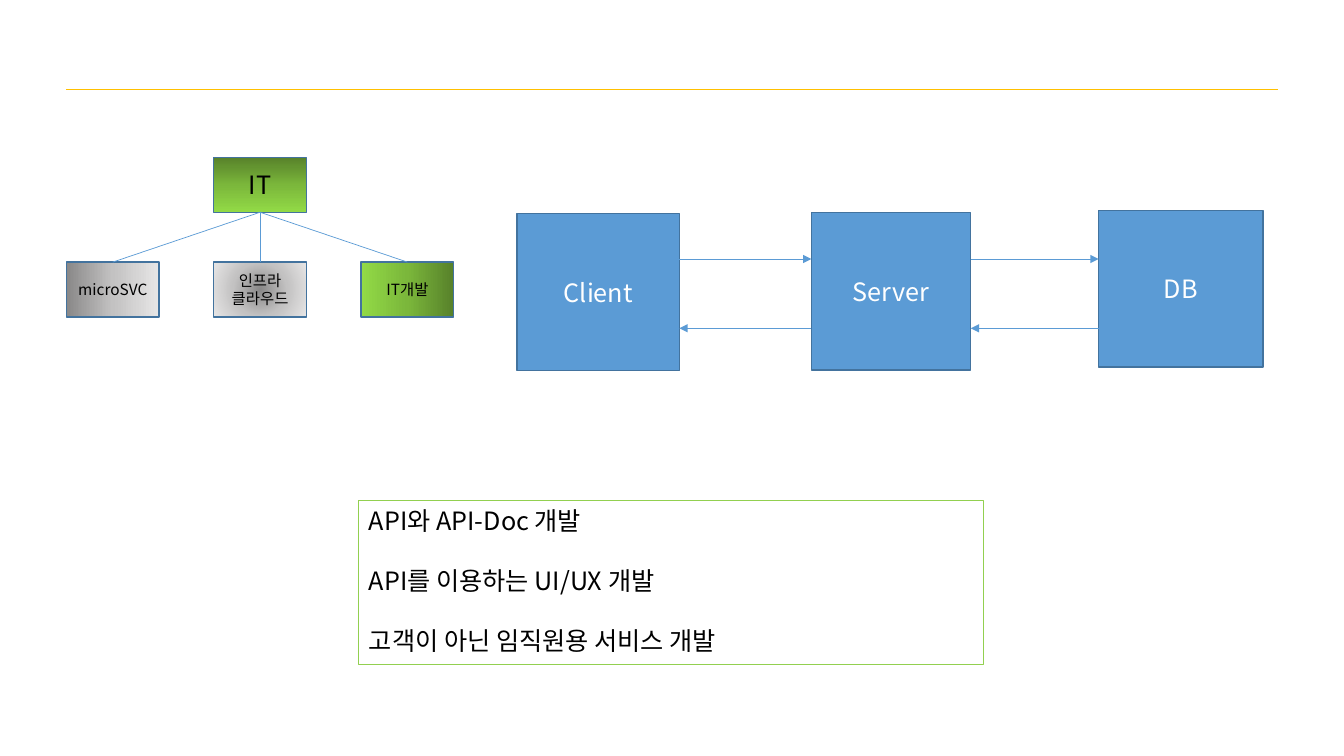
"""Build a slide with an IT organisation tree, a client-server-database flow and a task list."""
import dataclasses

import lxml.etree
import pptx
import pptx.dml.color
import pptx.enum.shapes
import pptx.enum.text
import pptx.oxml
import pptx.oxml.ns
import pptx.util

Pt = pptx.util.Pt
qn = pptx.oxml.ns.qn


@dataclasses.dataclass(frozen=True)
class Theme:
    font: str = "Noto Sans CJK KR"
    black: str = "000000"
    white: str = "FFFFFF"
    blue: str = "5B9BD5"
    outline: str = "43739E"
    rule: str = "FFC000"
    frame: str = "92D050"
    greens: tuple = ("57812A", "7BB73B", "92DA46")
    grays: tuple = ("898888", "C3C2C2", "E7E6E6")
    large: int = 18
    small: int = 11
    leading: float = 1.19


THEME = Theme()

ROOT = (["IT"], THEME.greens, 90)
TEAMS = [
    (["microSVC"], THEME.grays, 0),
    (["인프라", "클라우드"], THEME.grays, None),
    (["IT개발"], THEME.greens, 180),
]
TIERS = [
    ("Client", (369.4, 152.6, 115.9, 112.3)),
    ("Server", (579.6, 151.9, 113.8, 112.3)),
    ("DB", (784.8, 150.5, 117.4, 111.6)),
]
TASKS = ["API와 API-Doc 개발", "API를 이용하는 UI/UX 개발", "고객이 아닌 임직원용 서비스 개발"]

RULE = (47.5, 64.1, 913, 64.1)
TREE_LEFT, TREE_PITCH = 47.5, 105.2
ROOT_TOP, TEAM_TOP = 112.4, 187.2
NODE_WIDTH, NODE_HEIGHT = 66.2, 39.2
REQUEST_Y, RESPONSE_Y = 185, 234.5
TASK_BOX = (256.4, 357.8, 446.4, 116.6)

presentation = pptx.Presentation()
presentation.slide_width, presentation.slide_height = Pt(960), Pt(540)
slide = presentation.slides.add_slide(presentation.slide_layouts[6])


def rgb(color):
    return pptx.dml.color.RGBColor.from_string(color)


def add_line(start_x, start_y, end_x, end_y, color=THEME.blue, arrow=False):
    line = slide.shapes.add_connector(
        pptx.enum.shapes.MSO_CONNECTOR.STRAIGHT,
        Pt(start_x), Pt(start_y), Pt(end_x), Pt(end_y))
    line.line.color.rgb = rgb(color)
    line.line.width = Pt(0.5)
    properties = line._element.spPr
    if arrow:
        outline = properties.find(qn("a:ln"))
        lxml.etree.SubElement(outline, qn("a:tailEnd"), type="triangle")
    lxml.etree.SubElement(properties, qn("a:effectLst"))


def add_box(bounds, outline=THEME.outline, width=1):
    box = slide.shapes.add_shape(
        pptx.enum.shapes.MSO_SHAPE.RECTANGLE, *[Pt(value) for value in bounds])
    box.shadow.inherit = False
    box.fill.background()
    box.line.color.rgb = rgb(outline)
    box.line.width = Pt(width)
    return box


def write(box, lines, size, color, centered=True, gap=0):
    frame = box.text_frame
    frame.word_wrap = not centered
    anchors, aligns = pptx.enum.text.MSO_ANCHOR, pptx.enum.text.PP_ALIGN
    frame.vertical_anchor = anchors.MIDDLE if centered else anchors.TOP
    for index, text in enumerate(lines):
        paragraph = frame.add_paragraph() if index else frame.paragraphs[0]
        paragraph.alignment = aligns.CENTER if centered else aligns.LEFT
        paragraph.line_spacing = Pt(size * THEME.leading)
        paragraph.space_before = Pt(gap if index else 0)
        run = paragraph.add_run()
        run.text = text
        run.font.size = Pt(size)
        run.font.name = THEME.font
        run.font.color.rgb = rgb(color)
        east_asian = lxml.etree.SubElement(run._r.get_or_add_rPr(), qn("a:ea"))
        east_asian.set("typeface", THEME.font)


def fill_gradient(box, colors, angle):
    stops = "".join(
        f'<a:gs pos="{index * 50000}"><a:srgbClr val="{color}"/></a:gs>'
        for index, color in enumerate(colors))
    if angle is None:
        direction = ('<a:path path="circle"><a:fillToRect l="50000" t="50000" '
                     'r="50000" b="50000"/></a:path>')
    else:
        direction = f'<a:lin ang="{angle * 60000}" scaled="0"/>'
    gradient = pptx.oxml.parse_xml(
        f'<a:gradFill {pptx.oxml.ns.nsdecls("a")} rotWithShape="1">'
        f'<a:gsLst>{stops}</a:gsLst>{direction}</a:gradFill>')
    properties = box._element.spPr
    properties.replace(properties.find(qn("a:noFill")), gradient)


def add_node(node, column, top, size):
    lines, colors, angle = node
    left = TREE_LEFT + column * TREE_PITCH
    box = add_box((left, top, NODE_WIDTH, NODE_HEIGHT))
    fill_gradient(box, colors, angle)
    write(box, lines, size, THEME.black)
    return left + NODE_WIDTH / 2


add_line(*RULE, color=THEME.rule)

root_center = add_node(ROOT, 1, ROOT_TOP, THEME.large)
for column, team in enumerate(TEAMS):
    team_center = add_node(team, column, TEAM_TOP, THEME.small)
    add_line(root_center, ROOT_TOP + NODE_HEIGHT, team_center, TEAM_TOP)

for name, bounds in TIERS:
    tier = add_box(bounds)
    tier.fill.solid()
    tier.fill.fore_color.rgb = rgb(THEME.blue)
    write(tier, [name], THEME.large, THEME.white)

for (_, near), (_, far) in zip(TIERS, TIERS[1:]):
    near_edge, far_edge = near[0] + near[2], far[0]
    add_line(near_edge, REQUEST_Y, far_edge, REQUEST_Y, arrow=True)
    add_line(far_edge, RESPONSE_Y, near_edge, RESPONSE_Y, arrow=True)

task_box = add_box(TASK_BOX, THEME.frame, 0.75)
write(task_box, TASKS, THEME.large, THEME.black, centered=False,
      gap=THEME.large * THEME.leading)

presentation.save("out.pptx")
